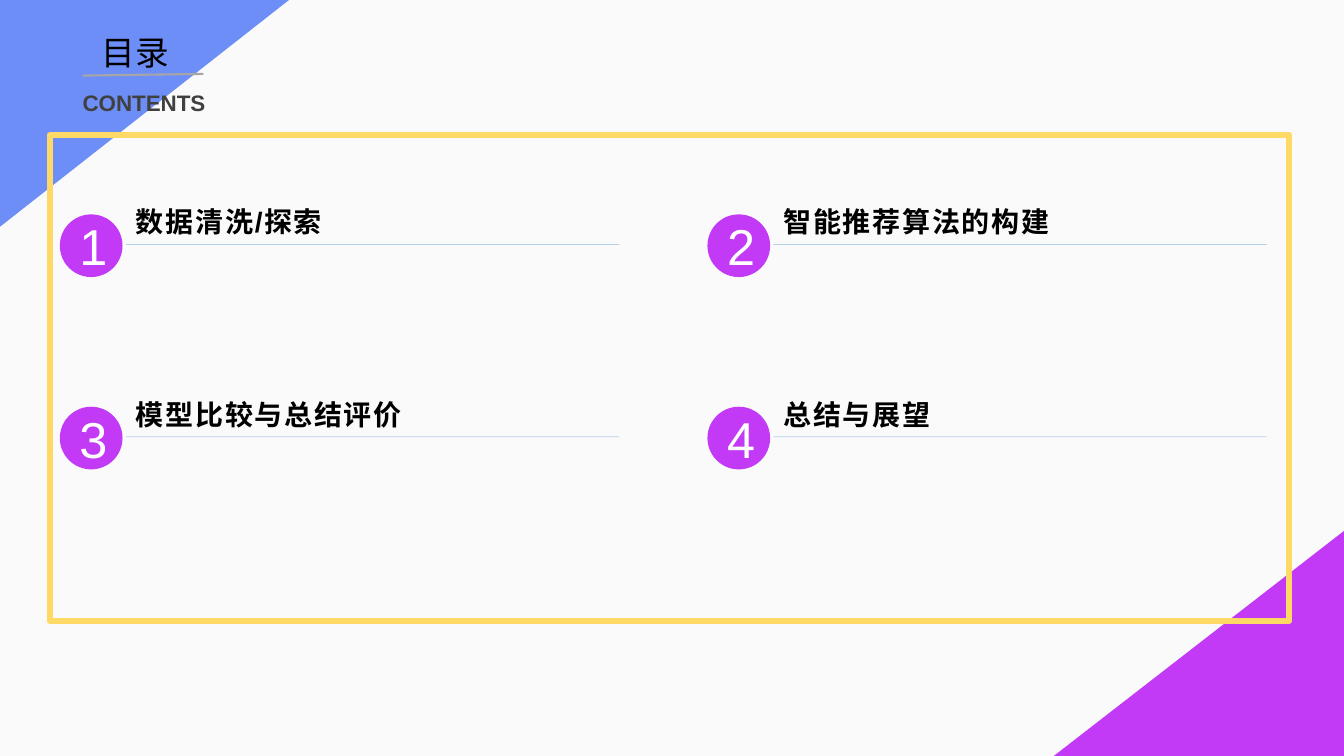
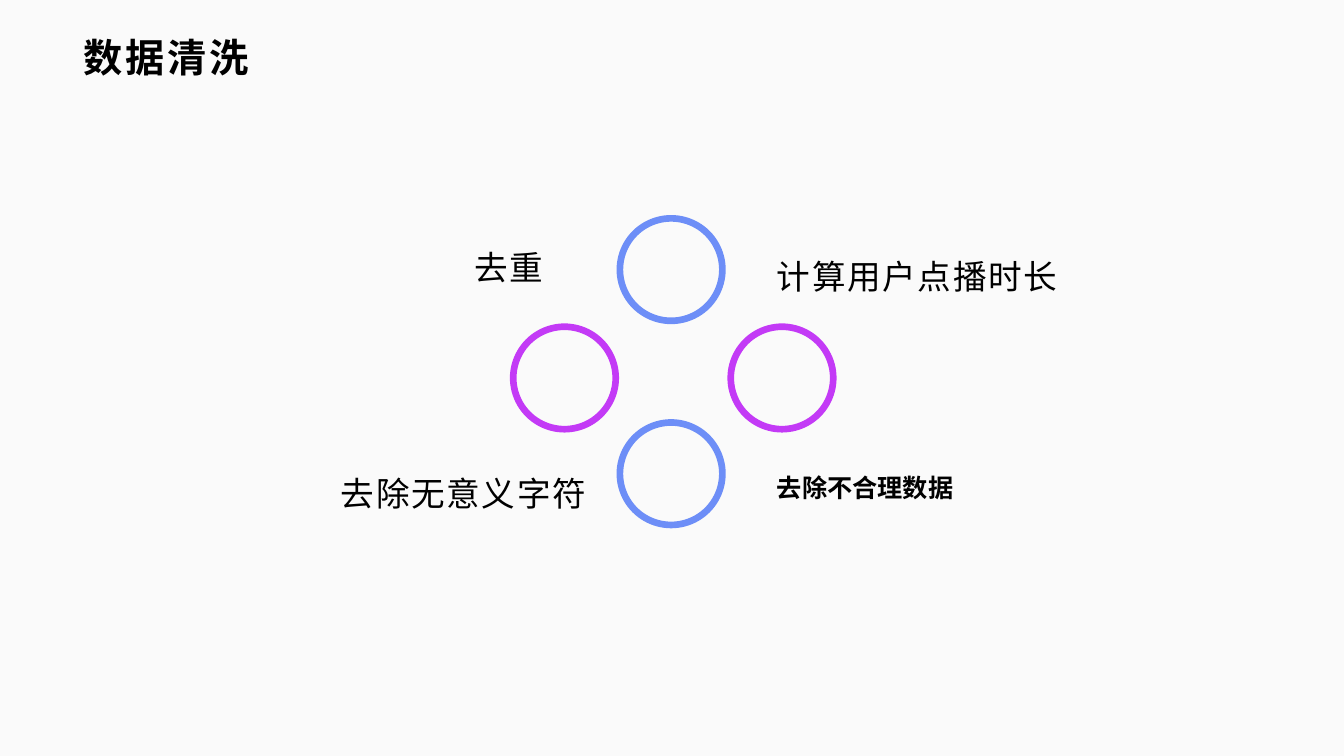
"""Build a contents slide and a data cleaning slide on a grid of 160 by 90 cells."""
from lxml import etree
from pptx import Presentation
from pptx.dml.color import RGBColor
from pptx.enum.shapes import MSO_CONNECTOR, MSO_SHAPE
from pptx.enum.text import MSO_ANCHOR, MSO_AUTO_SIZE, PP_ALIGN
from pptx.oxml.ns import qn
from pptx.util import Inches, Pt

BLUE = RGBColor(0x6D, 0x8E, 0xF7)
PURPLE = RGBColor(0xC3, 0x3A, 0xF6)
YELLOW = RGBColor(0xFF, 0xD9, 0x66)
SKY = RGBColor(0x5B, 0x9B, 0xD5)
GRAY = RGBColor(0xA6, 0xA6, 0xA6)
DARK = RGBColor(0x40, 0x40, 0x40)
BLACK = RGBColor(0, 0, 0)
WHITE = RGBColor(0xFF, 0xFF, 0xFF)
PAPER = RGBColor(0xFA, 0xFA, 0xFA)

LEFT, CENTER = PP_ALIGN.LEFT, PP_ALIGN.CENTER
TOP, MIDDLE = MSO_ANCHOR.TOP, MSO_ANCHOR.MIDDLE
OVAL, RECT, WEDGE = MSO_SHAPE.OVAL, MSO_SHAPE.RECTANGLE, MSO_SHAPE.RIGHT_TRIANGLE
STRAIGHT = MSO_CONNECTOR.STRAIGHT
NO_FIT = MSO_AUTO_SIZE.NONE

FONT = "Arial"
COLS, ROWS = 160, 90


class Deck:
    """Holds the style and the current slide."""

    def __init__(self):
        self.file = Presentation()
        self.file.slide_width = Inches(13.33)
        self.file.slide_height = Inches(7.5)
        back = self.file.slide_master.background.fill
        back.solid()
        back.fore_color.rgb = PAPER
        self.slide = None

    def grid(self, x, y):
        return (round(x * self.file.slide_width / COLS),
                round(y * self.file.slide_height / ROWS))

    def box(self, x, y, wide, high):
        return self.grid(x, y) + self.grid(wide, high)

    def page(self, title, box, size, **style):
        self.slide = self.file.slides.add_slide(self.file.slide_layouts[5])
        head = self.slide.shapes.title
        head.left, head.top, head.width, head.height = self.box(*box)
        self.letter(head, title, size, **style)

    def letter(self, shape, text, size, color=BLACK, bold=False, space=0,
               lead=1.0, align=LEFT, anchor=TOP):
        frame = shape.text_frame
        frame.text = text
        frame.word_wrap = True
        frame.auto_size = NO_FIT
        frame.vertical_anchor = anchor
        para = frame.paragraphs[0]
        para.alignment = align
        para.line_spacing = lead
        font = para.font
        font.name, font.size, font.bold = FONT, Pt(size), bold
        font.color.rgb = color
        if space:
            para.runs[0]._r.get_or_add_rPr().set("spc", str(round(space * 100)))

    def label(self, text, box, size, **style):
        self.letter(self.slide.shapes.add_textbox(*self.box(*box)), text, size, **style)

    def shape(self, kind, box, fill=None, line=None, width=1):
        item = self.slide.shapes.add_shape(kind, *self.box(*box))
        item.shadow.inherit = False
        if fill is None:
            item.fill.background()
        else:
            item.fill.solid()
            item.fill.fore_color.rgb = fill
        if line is None:
            item.line.fill.background()
        else:
            item.line.color.rgb = line
            item.line.width = Pt(width)
        return item

    def corner(self, x, y, wide, high, turn, fill):
        shift = (wide - high) / 2
        item = self.shape(WEDGE, (x + shift, y - shift, high, wide), fill)
        item.rotation = turn

    def badge(self, text, x, y, size):
        item = self.shape(OVAL, (x, y, size, size), PURPLE, PURPLE)
        self.letter(item, text, 36, color=WHITE, align=CENTER, anchor=MIDDLE)

    def rule(self, start, end, color, width, alpha=None):
        line = self.slide.shapes.add_connector(
            STRAIGHT, *self.grid(*start), *self.grid(*end))
        line.line.color.rgb = color
        line.line.width = Pt(width)
        props = line._element.spPr
        if alpha:
            tint = props.find(".//" + qn("a:srgbClr"))
            etree.SubElement(tint, qn("a:alpha")).set("val", str(alpha * 1000))
        etree.SubElement(props, qn("a:effectLst"))

    def raise_title(self):
        self.slide.shapes._spTree.append(self.slide.shapes.title._element)


def contents(deck):
    deck.page("目录", (10.9, 1.8, 12.2, 6.8), 24, lead=1.3)
    deck.corner(0, 0, 34.4, 27, 90, BLUE)
    deck.corner(125.2, 63.2, 34.8, 27, 270, PURPLE)
    deck.raise_title()
    deck.shape(RECT, (5.9, 16.1, 147.6, 57.8), line=YELLOW, width=4.25)
    deck.label("CONTENTS", (7.6, 9.1, 19.1, 5.4), 16, color=DARK,
               bold=True, lead=1.3, align=CENTER)
    deck.rule((9.8, 9), (24.2, 8.8), GRAY, 1.5)
    items = ("数据清洗/探索", "智能推荐算法的构建", "模型比较与总结评价", "总结与展望")
    for i, text in enumerate(items):
        row, col = divmod(i, 2)
        x, y = 7.2 + 77.1 * col, 23.4 + 22.9 * row
        deck.badge(str(i + 1), x, y + 2.2, 7.3)
        deck.rule((x + 7.8, y + 5.7), (x + 66.5, y + 5.7), SKY, 0.5, 44)
        deck.label(text, (x + 7.8, y, 58.7, 5.6), 20, bold=True, space=1.2, lead=1.1)


def cleaning(deck):
    deck.page("数据清洗", (8.8, 2.5, 46.7, 8.5), 28, bold=True, space=2, anchor=MIDDLE)
    rings = ((73.8, 50.3, BLUE), (73.8, 26, BLUE),
             (61.1, 38.9, PURPLE), (87, 38.9, PURPLE))
    for x, y, color in rings:
        deck.shape(OVAL, (x, y, 12.2, 12.2), line=color, width=4.75)
    steps = (("去除无意义字符", 39.4, 54.8, 32.5), ("去重", 55.3, 27.8, 11.5),
             ("计算用户点播时长", 91.3, 28.9, 36.7))
    for text, x, y, wide in steps:
        deck.label(text, (x, y, wide, 6.4), 24, space=1.2, lead=1.2)
    deck.label("去除不合理数据", (91.3, 55.6, 31.9, 4.8), 18, bold=True)


def main():
    deck = Deck()
    contents(deck)
    cleaning(deck)
    deck.file.save("out.pptx")


if __name__ == "__main__":
    main()
